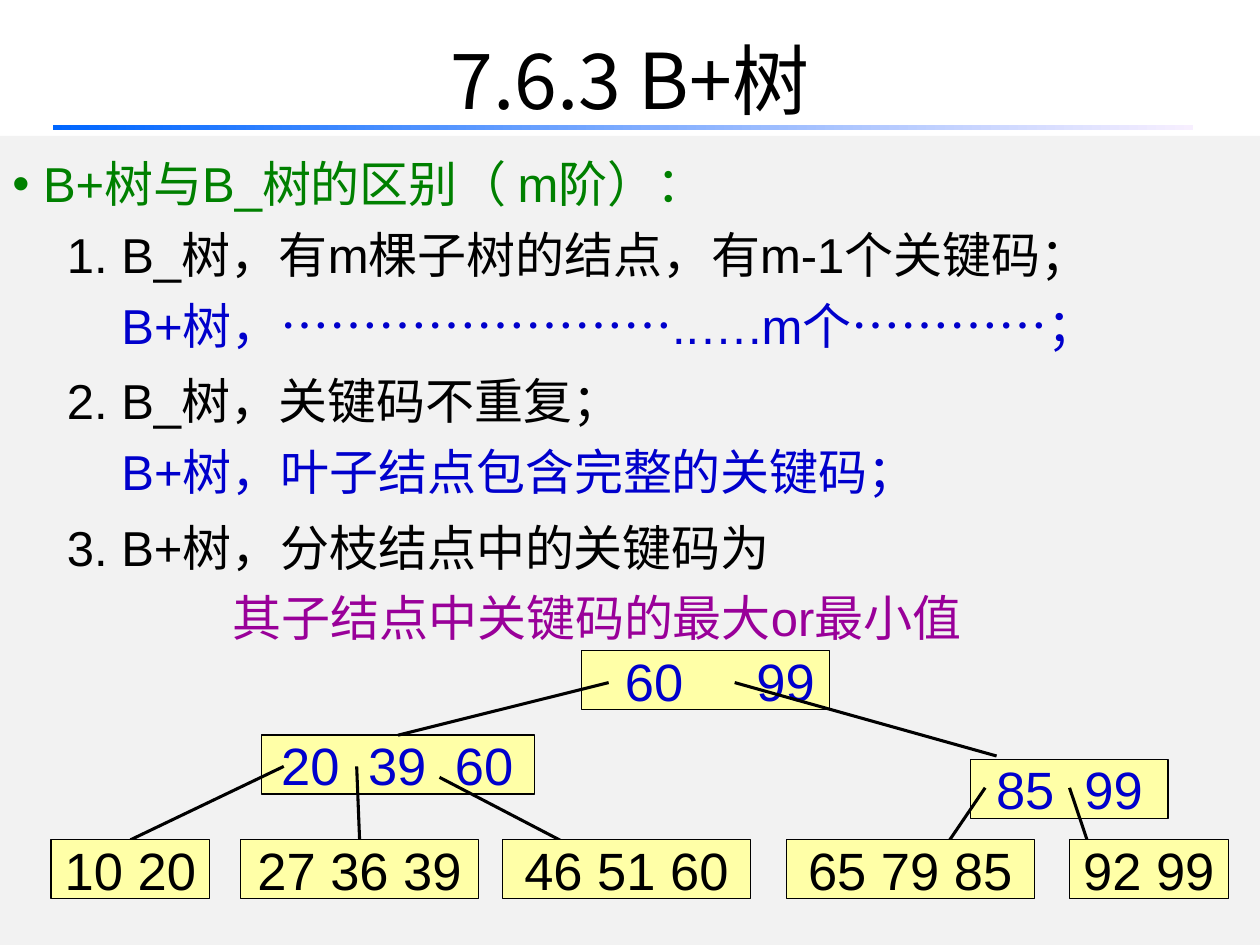
import pptx
import pptx.dml.color
import pptx.enum.shapes
import pptx.enum.text
import pptx.oxml
import pptx.oxml.ns
import pptx.util
from lxml import etree

Cm = pptx.util.Cm
Pt = pptx.util.Pt
RECT = pptx.enum.shapes.MSO_SHAPE.RECTANGLE
ALIGN = pptx.enum.text.PP_ALIGN
ANCHOR = pptx.enum.text.MSO_ANCHOR
CJK = "Noto Sans CJK SC"
BLACK, BLUE = "000000", "0000CC"

TITLE = "7.6.3 B+树"
BODY = [
    ("B+树与B_树的区别（ m阶）：", "008000", 0.62, 0),
    ("1. B_树，有m棵子树的结点，有m-1个关键码；", BLACK, 1.1, 0),
    ("B+树，……………………..….m个…………；", BLUE, 2.2, 0),
    ("2. B_树，关键码不重复；", BLACK, 1.1, 3),
    ("B+树，叶子结点包含完整的关键码；", BLUE, 2.2, 0),
    ("3. B+树，分枝结点中的关键码为", BLACK, 1.1, 3),
    ("其子结点中关键码的最大or最小值", "990099", 4.44, 0),
]
BRANCHES = {
    "root": ((60, 99), 11.72, 13.12, 5.0, 0.88, 2.65),
    "left": ((20, 39, 60), 5.27, 14.82, 5.51, 0.4, 1.75),
    "right": ((85, 99), 19.56, 15.31, 3.99, 0.52, 1.78),
}
LEAF_TOP = 16.93
LEAVES = {
    "10 20": (1.03, 3.2),
    "27 36 39": (4.85, 4.8),
    "46 51 60": (10.13, 5.0),
    "65 79 85": (15.85, 5.0),
    "92 99": (21.56, 3.2),
}
LINKS = [
    ((12.27, 13.76), (8.02, 14.82), "left"),
    ((14.81, 13.76), (20.09, 15.24), None),
    ((5.72, 15.45), (2.63, 16.93), "10 20"),
    ((7.19, 15.45), (7.25, 16.93), "27 36 39"),
    ((8.86, 15.67), (12.62, 17.63), None),
    ((19.86, 15.88), (18.69, 17.6), None),
    ((21.56, 15.88), (22.2, 17.78), None),
]


def rgb(value):
    return pptx.dml.color.RGBColor.from_string(value)


def sub(parent, tag, **attrs):
    return etree.SubElement(parent, pptx.oxml.ns.qn(tag), attrs)


def write(p, text, size, color, latin="Arial"):
    p.text = text
    for r in p.runs:
        r.font.size = Pt(size)
        r.font.color.rgb = rgb(color)
        r.font.name = latin
        sub(r._r.get_or_add_rPr(), "a:ea", typeface=CJK)


def rect(s, x, y, w, h, fill=None, line=None):
    sp = s.shapes.add_shape(RECT, Cm(x), Cm(y), Cm(w), Cm(h))
    sp.shadow.inherit = False
    if fill:
        sp.fill.solid()
        sp.fill.fore_color.rgb = rgb(fill)
    if line:
        sp.line.color.rgb = rgb(line)
        sp.line.width = Pt(0.75)
    else:
        sp.line.fill.background()
    return sp


def node(s, x, y, w, text, color, inset=None, step=0):
    sp = rect(s, x, y, w, 1.19, "FFFFA7", BLACK)
    tf = sp.text_frame
    tf.word_wrap = True
    tf.vertical_anchor = ANCHOR.MIDDLE
    tf.margin_left = tf.margin_right = tf.margin_top = tf.margin_bottom = 0
    p = tf.paragraphs[0]
    p.alignment = ALIGN.CENTER
    if inset:
        tf.margin_left = Cm(inset)
        p.alignment = ALIGN.LEFT
        tabs = sub(p._p.get_or_add_pPr(), "a:tabLst")
        for i in range(1, text.count("\t") + 1):
            sub(tabs, "a:tab", pos=str(Cm(i * step)), algn="l")
    write(p, text, 30, color)
    return sp


def add_heading(s):
    tf = s.shapes.add_textbox(Cm(1.27), Cm(0), Cm(22.86), Cm(3.18)).text_frame
    tf.word_wrap = True
    tf.vertical_anchor = ANCHOR.MIDDLE
    tf.paragraphs[0].alignment = ALIGN.CENTER
    write(tf.paragraphs[0], TITLE, 44, BLACK, CJK)

    bar = rect(s, 1.06, 2.52, 22.99, 0.1)
    bar.fill.gradient()
    bar.fill.gradient_angle = 0
    for i, color in enumerate(("0066FF", "F7EFFF")):
        stop = bar.fill.gradient_stops[i]
        stop.position = i
        stop.color.rgb = rgb(color)


def add_body(s):
    tf = rect(s, 0, 2.74, 25.4, 16.31, "F2F2F2").text_frame
    tf.word_wrap = True
    tf.vertical_anchor = ANCHOR.TOP
    for i, (text, color, indent, before) in enumerate(BODY):
        p = tf.add_paragraph() if i else tf.paragraphs[0]
        p.alignment = ALIGN.JUSTIFY
        p.line_spacing = 1.2
        if before:
            p.space_before = Pt(before)
        pPr = p._p.get_or_add_pPr()
        pPr.set("marL", str(Cm(indent)))
        pPr.set("indent", str(0 if i else -Cm(indent)))
        if i == 0:
            sub(pPr, "a:buFont", typeface="Arial")
            sub(pPr, "a:buChar", char="•")
        write(p, text, 28, color)


def add_tree(s):
    nodes = {}
    for name, (keys, x, y, w, inset, step) in BRANCHES.items():
        text = "\t".join(map(str, keys))
        nodes[name] = node(s, x, y, w, text, BLUE, inset, step)

    links = []
    for start, end, target in LINKS:
        c = s.shapes.add_connector(
            pptx.enum.shapes.MSO_CONNECTOR.STRAIGHT, *map(Cm, start + end))
        c.line.color.rgb = rgb(BLACK)
        c.line.width = Pt(1.75)
        sub(c._element.spPr, "a:effectLst")
        links.append((c, target))

    for text, (x, w) in LEAVES.items():
        nodes[text] = node(s, x, LEAF_TOP, w, text, BLACK)
    for c, target in links:
        if target:
            c.end_connect(nodes[target], 0)


def main():
    prs = pptx.Presentation()
    prs.slide_width, prs.slide_height = Cm(25.4), Cm(19.05)
    s = prs.slides.add_slide(prs.slide_layouts[6])
    add_heading(s)
    add_body(s)
    add_tree(s)
    prs.save("out.pptx")


if __name__ == "__main__":
    main()
